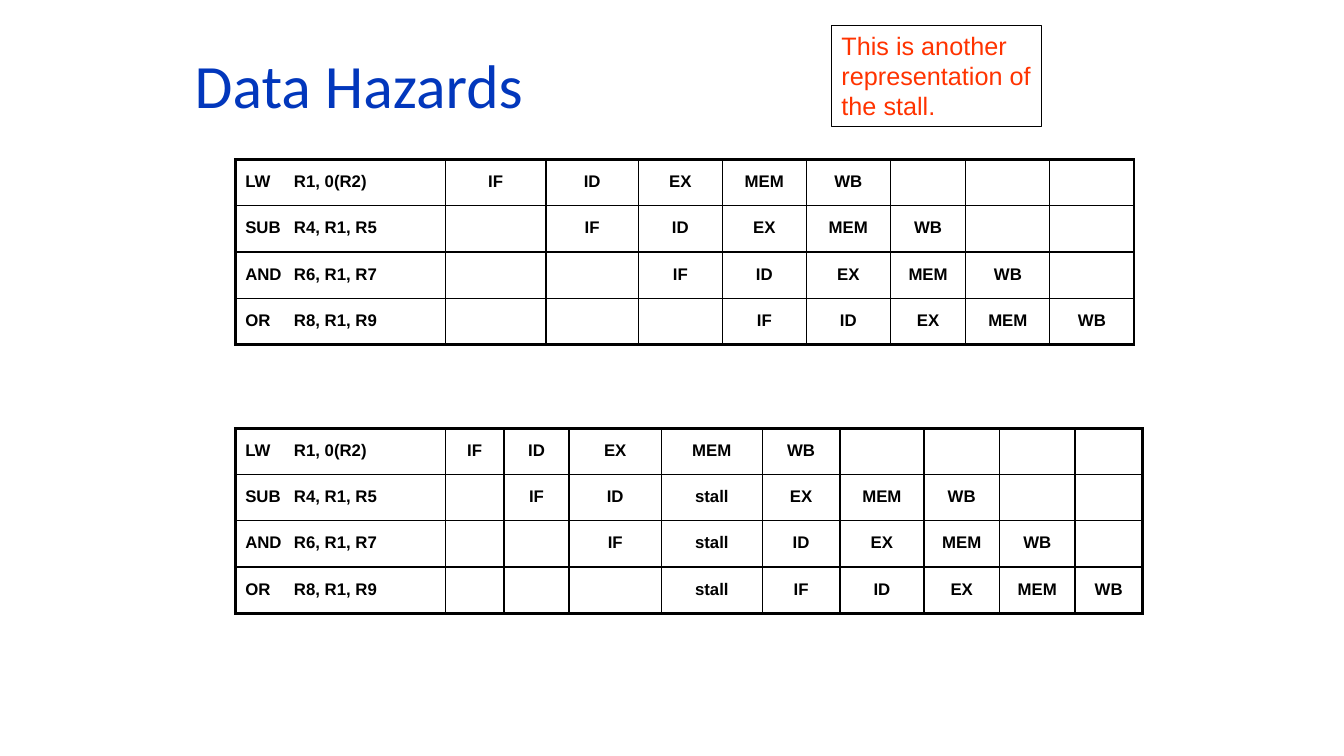
import dataclasses
import pptx
import pptx.util
import pptx.dml.color
import pptx.enum.shapes
import pptx.enum.text
import pptx.oxml
import pptx.oxml.ns

Pt = pptx.util.Pt
Align = pptx.enum.text.PP_ALIGN
Anchor = pptx.enum.text.MSO_ANCHOR


@dataclasses.dataclass(frozen=True)
class Theme:
    blue: str = "0237BC"
    red: str = "FF3300"
    black: str = "000000"
    white: str = "FFFFFF"
    head: int = 44
    note: int = 18
    cell: int = 12
    thin: float = 1
    thick: float = 2.25


THEME = Theme()
COLS, ROWS = 160, 90
CODE = [("LW", "R1, 0(R2)"), ("SUB", "R4, R1, R5"),
        ("AND", "R6, R1, R7"), ("OR", "R8, R1, R9")]
STAGES = ["IF", "ID", "EX", "MEM", "WB"]
STALL = 3
ROW = 5.5
TAB = 5.8
PLAIN = [25, 12, 11, 10, 10, 10, 9, 10, 10]
DELAY = [25, 7, 7.75, 11, 12, 9.25, 10, 9, 9, 8]


def tint(code):
    return pptx.dml.color.RGBColor.from_string(code)


def style(item, values):
    for name, value in values.items():
        setattr(item, name, value)


def place(deck, left, top, width, height):
    wide, high = deck.slide_width / COLS, deck.slide_height / ROWS
    return [round(n) for n in (left * wide, top * high, width * wide, height * high)]


def write(para, text, size, color, font="Arial", bold=False, **layout):
    run = para.add_run()
    run.text = text
    style(run.font, {"name": font, "size": Pt(size), "bold": bold})
    run.font.color.rgb = tint(color)
    style(para, layout)


def title(deck, slide, text, area):
    frame = slide.shapes.add_textbox(*place(deck, *area)).text_frame
    style(frame, {"word_wrap": True, "vertical_anchor": Anchor.MIDDLE})
    write(frame.paragraphs[0], text, THEME.head, THEME.blue, "Calibri", line_spacing=0.9)


def note(deck, slide, text, area):
    kind = pptx.enum.shapes.MSO_SHAPE.RECTANGLE
    box = slide.shapes.add_shape(kind, *place(deck, *area))
    box.shadow.inherit = False
    box.fill.background()
    box.line.color.rgb = tint(THEME.black)
    box.line.width = Pt(0.75)
    style(box.text_frame, {"word_wrap": True, "vertical_anchor": Anchor.TOP})
    write(box.text_frame.paragraphs[0], text, THEME.note, THEME.red, alignment=Align.LEFT)


def child(node, tag, **attrs):
    part = pptx.oxml.parse_xml(f'<a:{tag} xmlns:a="{pptx.oxml.ns.nsuri("a")}"/>')
    for name, value in attrs.items():
        part.set(name, str(value))
    node.append(part)
    return part


def edge(cell, sides):
    props = cell._tc.get_or_add_tcPr()
    for side, outer in sides.items():
        width = Pt(THEME.thick if outer else THEME.thin)
        line = child(props, "ln" + side, w=int(width))
        child(child(line, "solidFill"), "srgbClr", val=THEME.black)


def steps(row, count, stall):
    slots = [""] * row + STAGES
    if stall and row:
        slots.insert(STALL, "stall")
    return slots + [""] * (count - len(slots))


def chart(deck, slide, left, top, widths, stall):
    area = place(deck, left, top, sum(widths), ROW * len(CODE))
    table = slide.shapes.add_table(len(CODE), len(widths), *area).table
    style(table, {"first_row": False, "horz_banding": False})
    for col, width in zip(table.columns, widths):
        col.width = round(width * deck.slide_width / COLS)
    last = len(widths) - 1
    for row, (name, args) in enumerate(CODE):
        texts = [f"{name}\t{args}"] + steps(row, last, stall)
        for col, text in enumerate(texts):
            cell = table.cell(row, col)
            edge(cell, {"L": col == 0, "R": col == last,
                        "T": row == 0, "B": row == len(CODE) - 1})
            cell.fill.solid()
            cell.fill.fore_color.rgb = tint(THEME.white)
            cell.vertical_anchor = Anchor.MIDDLE
            if text:
                para = cell.text_frame.paragraphs[0]
                write(para, text, THEME.cell, THEME.black, bold=True, line_spacing=0.9,
                      alignment=Align.CENTER if col else Align.LEFT)
                if col == 0:
                    stop = round(TAB * deck.slide_width / COLS)
                    tabs = child(para._p.get_or_add_pPr(), "tabLst")
                    child(tabs, "tab", pos=stop, algn="l")


def main():
    deck = pptx.Presentation()
    style(deck, {"slide_width": pptx.util.Inches(13.33),
                 "slide_height": pptx.util.Inches(7.5)})
    slide = deck.slides.add_slide(deck.slide_layouts[6])
    title(deck, slide, "Data Hazards", (22, 3, 53, 15))
    note(deck, slide, "This is another representation of the stall.", (99, 3, 25, 12.1))
    chart(deck, slide, 28, 19, PLAIN, False)
    chart(deck, slide, 28, 51, DELAY, True)
    deck.save("out.pptx")


main()
